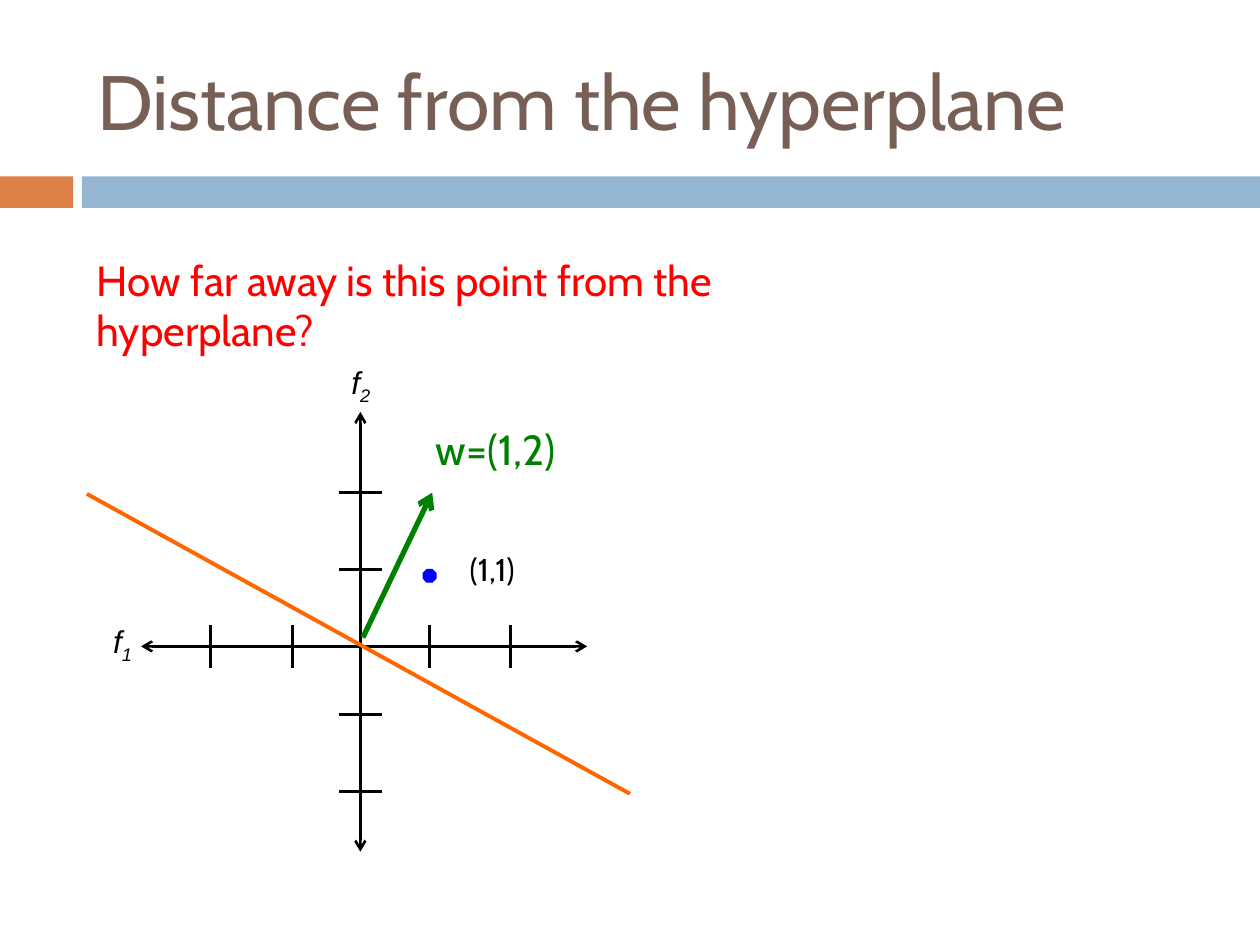
from lxml import etree
from pptx import Presentation
from pptx.dml.color import RGBColor
from pptx.enum.shapes import MSO_CONNECTOR, MSO_SHAPE
from pptx.enum.text import MSO_ANCHOR, PP_ALIGN
from pptx.oxml.ns import qn
from pptx.util import Inches, Pt

COLORS = {
    "title": "775F55", "accent": "DD8047", "band": "94B6D2", "question": "FF0000",
    "axis": "000000", "hyperplane": "FF6600", "weight": "008000", "point": "0000FF",
}


def rgb(name):
    return RGBColor.from_string(COLORS[name])


def format_span(span, size, color, font="Cabin", italic=None):
    span.font.name = font
    span.font.size = Pt(size)
    span.font.italic = italic
    span.font.color.rgb = rgb(color)


def add_filled(page, kind, left, top, width, height, color):
    shape = page.shapes.add_shape(
        kind, Inches(left), Inches(top), Inches(width), Inches(height))
    shape.shadow.inherit = False
    shape.fill.solid()
    shape.fill.fore_color.rgb = rgb(color)
    shape.line.fill.background()
    return shape


def add_line(page, start, end, color="axis", width=1.5, arrows=()):
    """Draw a line; arrows names its ends in order: headEnd, tailEnd."""
    line = page.shapes.add_connector(
        MSO_CONNECTOR.STRAIGHT, *(Inches(value) for value in (*start, *end)))
    line.line.color.rgb = rgb(color)
    line.line.width = Pt(width)
    outline = line.line._get_or_add_ln()
    for name in arrows:
        etree.SubElement(outline, qn(f"a:{name}"), type="arrow")
    etree.SubElement(line._element.spPr, qn("a:effectLst"))


def add_text(page, text, left, top, width, height, size, color, wrap=False, **style):
    box = page.shapes.add_textbox(
        Inches(left), Inches(top), Inches(width), Inches(height))
    frame = box.text_frame
    frame.word_wrap = wrap
    frame.text = text
    format_span(frame.paragraphs[0].runs[0], size, color, **style)
    return frame.paragraphs[0]


def add_axis_label(page, index, left, top):
    style = {"font": "Arial", "italic": True}
    para = add_text(page, "f", left, top, 0.41, 0.4, 18, "axis", **style)
    span = para.add_run()
    span.text = index
    format_span(span, 18, "axis", **style)
    span.font._element.set("baseline", "-25000")


def build_header(page, left, top, width, height):
    # Two-colour band below the title
    add_filled(page, MSO_SHAPE.RECTANGLE, 0, 1.4, 0.58, 0.25, "accent")
    add_filled(page, MSO_SHAPE.RECTANGLE, 0.65, 1.4, 9.35, 0.25, "band")

    title = page.shapes.title
    title.left, title.top = Inches(left), Inches(top)
    title.width, title.height = Inches(width), Inches(height)
    frame = title.text_frame
    frame.text = "Distance from the hyperplane"
    frame.vertical_anchor = MSO_ANCHOR.MIDDLE
    frame.paragraphs[0].alignment = PP_ALIGN.LEFT
    format_span(frame.paragraphs[0].runs[0], 44, "title")


def build_plot(page, left, top, width, height):
    origin_x, origin_y = left + 1.74, top + 1.86
    half_tick = 0.17

    def at(x, y):
        return origin_x + x, origin_y + y

    # Axes with ticks
    both_ends = ("headEnd", "tailEnd")
    add_line(page, (origin_x, top + height), (origin_x, top), arrows=both_ends)
    add_line(page, (left, origin_y), (left + width, origin_y), arrows=both_ends)
    for y in (-1.22, -0.61, 0.54, 1.15):
        add_line(page, at(-half_tick, y), at(half_tick, y))
    for x in (-1.19, -0.54, 0.55, 1.19):
        add_line(page, at(x, -half_tick), at(x, half_tick))

    # Hyperplane and its weight vector
    add_line(page, at(-2.17, -1.21), at(2.14, 1.17), "hyperplane", 2.25)
    add_line(page, at(0.02, -0.07), at(0.57, -1.22), "weight", 3, ("tailEnd",))

    # Point and labels
    add_axis_label(page, "1", *at(-2.06, -0.24))
    add_axis_label(page, "2", *at(-0.17, -2.3))
    point = add_filled(page, MSO_SHAPE.OCTAGON, *at(0.5, -0.61), 0.1, 0.1, "point")
    point.line.color.rgb = rgb("point")
    point.line.width = Pt(0.75)
    add_text(page, "(1,1)", *at(0.77, -0.81), 0.67, 0.4, 18, "axis")
    add_text(page, "w=(1,2)", *at(0.5, -1.82), 1.28, 0.5, 24, "weight")


def main():
    deck = Presentation()
    deck.slide_width, deck.slide_height = Inches(10), Inches(7.5)
    page = deck.slides.add_slide(deck.slide_layouts[5])
    build_header(page, 0.67, 0.25, 8.92, 1.08)
    build_plot(page, 1.12, 3.27, 3.54, 3.49)
    add_text(page, "How far away is this point from the hyperplane?",
             0.67, 1.97, 6.64, 0.5, 24, "question", wrap=True)
    deck.save("out.pptx")


if __name__ == "__main__":
    main()
